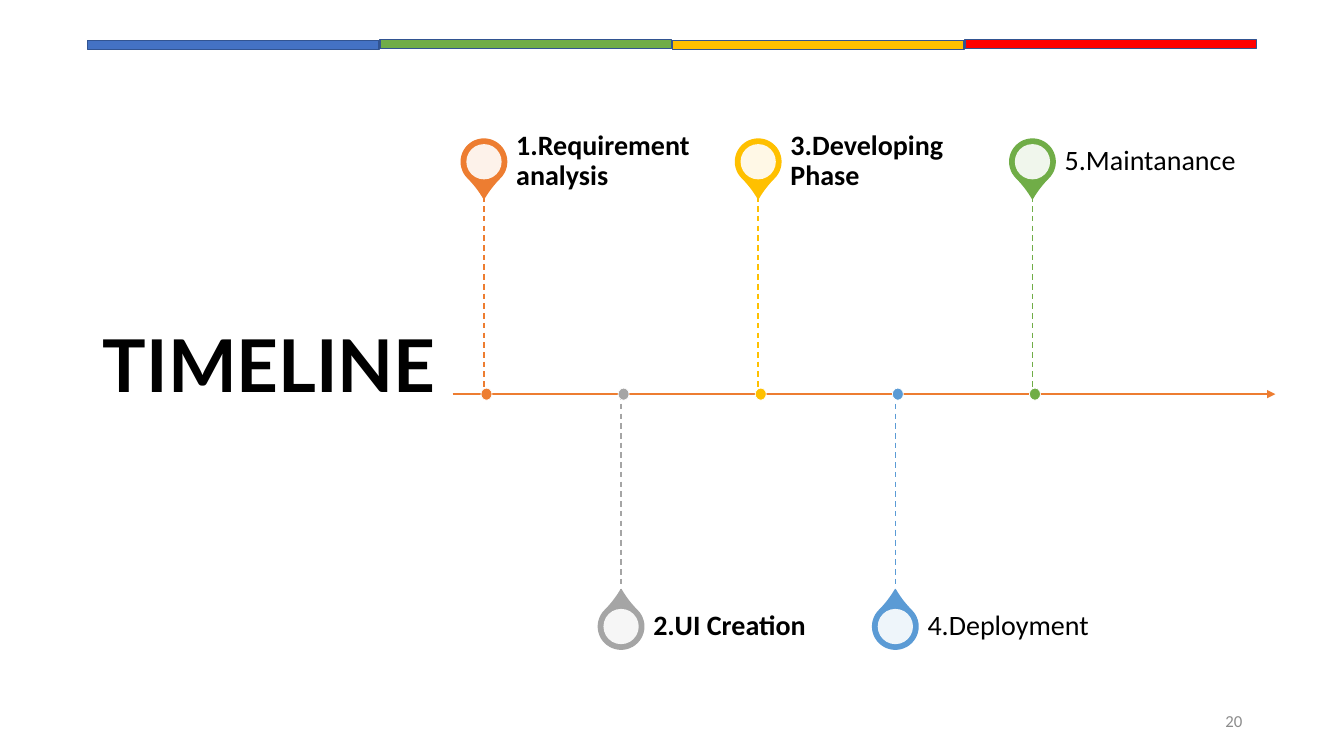
import pptx
import pptx.util
import pptx.dml.color
import pptx.enum.dml
import pptx.enum.shapes
import pptx.enum.text
import pptx.oxml
import pptx.oxml.ns
from lxml import etree

SHAPE = pptx.enum.shapes.MSO_SHAPE
ANCHOR = pptx.enum.text.MSO_ANCHOR
ALIGN = pptx.enum.text.PP_ALIGN
DASH = pptx.enum.dml.MSO_LINE.DASH
INK = "000000"
STEPS = [
    ("1.Requirement analysis", "ED7D31", True),
    ("2.UI Creation", "A5A5A5", True),
    ("3.Developing Phase", "FFC000", True),
    ("4.Deployment", "5B9BD5", False),
    ("5.Maintanance", "70AD47", False),
]
BAR_COLOURS = ["4472C4", "70AD47", "FFC000", "FF0000"]


def inches(*lengths):
    """Convert lengths in inches to slide units."""
    return [pptx.util.Inches(length) for length in lengths]


def colour(hex_code):
    """Turn a hex string into a colour."""
    return pptx.dml.color.RGBColor.from_string(hex_code)


def assign(target, values):
    """Set each named attribute of the target."""
    for name, value in values.items():
        setattr(target, name, value)


def write(frame, words, size, font, ink, bold=False, align=ALIGN.LEFT, spacing=1.0, margins=None):
    """Write one formatted paragraph, vertically centred in a frame."""
    assign(frame, {"word_wrap": True, "vertical_anchor": ANCHOR.MIDDLE,
                   "auto_size": pptx.enum.text.MSO_AUTO_SIZE.NONE, **(margins or {})})
    paragraph = frame.paragraphs[0]
    assign(paragraph, {"alignment": align, "line_spacing": spacing})
    run = paragraph.add_run()
    run.text = words
    assign(run.font, {"size": pptx.util.Pt(size), "name": font, "bold": bold})
    run.font.color.rgb = colour(ink)


def add_figure(shapes, preset, box, fill, outline=None, weight=1):
    """Add a flat preset shape with an optional outline."""
    figure = shapes.add_shape(preset, *inches(*box))
    figure.shadow.inherit = False
    figure.fill.solid()
    figure.fill.fore_color.rgb = colour(fill)
    if outline:
        figure.line.color.rgb = colour(outline)
        figure.line.width = pptx.util.Pt(weight)
    else:
        figure.line.fill.background()
    return figure


def add_line(shapes, start, end, ink, weight, dash=None, arrow=False):
    """Add a straight line, dashed or arrow-headed on request."""
    line = shapes.add_connector(pptx.enum.shapes.MSO_CONNECTOR.STRAIGHT, *inches(*start, *end))
    line.line.color.rgb = colour(ink)
    assign(line.line, {"width": pptx.util.Pt(weight), "dash_style": dash})
    if arrow:
        etree.SubElement(line.line._get_or_add_ln(), pptx.oxml.ns.qn("a:tailEnd"), type="triangle")
    etree.SubElement(line._element.spPr, pptx.oxml.ns.qn("a:effectLst"))


def add_colour_bar(slide, left, top, width, height):
    """Draw the four-colour bar across the top."""
    segments = slide.shapes.add_group_shape().shapes
    column = width / len(BAR_COLOURS)
    for index, fill in enumerate(BAR_COLOURS):
        drop = 0.01 if index % 2 == 0 else 0
        add_figure(segments, SHAPE.RECTANGLE,
                   (left + index * column, top + drop, column - 0.01, height), fill, "325491")


def add_step(shapes, x, axis_y, marker_top, row, step, above):
    """Draw one step: pin, label, dashed stem and dot on the axis."""
    words, ink, bold = step
    middle = marker_top + row / 2
    pin_size, hole_size, dot_width, dot_height = 0.45, 0.35, 0.11, 0.12
    pin = add_figure(shapes, SHAPE.TEAR,
                     (x - pin_size / 2, middle - pin_size / 2, pin_size, pin_size), ink, ink)
    pin.adjustments[0] = 1.15
    pin.rotation = 135 if above else 315
    hole = add_figure(shapes, SHAPE.OVAL,
                      (x - hole_size / 2, middle - hole_size / 2, hole_size, hole_size), "FFFFFF")
    tint = hole._element.spPr.find(".//" + pptx.oxml.ns.qn("a:srgbClr"))
    etree.SubElement(tint, pptx.oxml.ns.qn("a:alpha"), val="90000")
    label = shapes.add_textbox(*inches(x + 0.32, marker_top, 2.1, row))
    write(label.text_frame, words, 20, "Calibri", INK, bold, spacing=0.9,
          margins={"margin_left": 0, "margin_top": 0, "margin_bottom": 0,
                   "margin_right": pptx.util.Inches(0.14)})
    stem = [(x, marker_top + row), (x, axis_y)] if above else [(x, axis_y), (x, marker_top)]
    add_line(shapes, *stem, ink, 1, DASH.DASH)
    add_figure(shapes, SHAPE.OVAL,
               (x - 0.03, axis_y - dot_height / 2, dot_width, dot_height), ink, "FFFFFF", 0.5)


def add_timeline(slide, left, top, width, height):
    """Draw the axis with its steps alternating above and below."""
    parts = slide.shapes.add_group_shape().shapes
    column, row = width / (len(STEPS) + 1), height * 0.13
    axis_y = top + height / 2
    add_line(parts, (left, axis_y), (left + width, axis_y), STEPS[0][1], 1.5, arrow=True)
    for index, step in enumerate(STEPS):
        above = index % 2 == 0
        marker_top = top if above else top + height - row
        add_step(parts, left + 0.31 + index * column, axis_y, marker_top, row, step, above)


def add_title(slide, left, top, width, height):
    """Place the slide title beside the timeline."""
    title = slide.shapes.title
    assign(title, dict(zip(("left", "top", "width", "height"), inches(left, top, width, height))))
    write(title.text_frame, "TIMELINE", 52, "Lato", INK, True, spacing=0.9)


def add_page_number(slide, left, top, width, height):
    """Write the page number at the lower right."""
    number = slide.shapes.add_textbox(*inches(left, top, width, height))
    write(number.text_frame, "20", 12, "Calibri", "8C8C8C", align=ALIGN.RIGHT)


def main():
    """Build and save the timeline slide."""
    deck = pptx.Presentation()
    assign(deck, dict(zip(("slide_width", "slide_height"), inches(13.33, 7.5))))
    slide = deck.slides.add_slide(deck.slide_layouts[5])
    add_title(slide, 0.92, 0.61, 3.69, 6.09)
    add_page_number(slide, 9.42, 6.95, 3, 0.4)
    add_timeline(slide, 4.49, 1.26, 8.16, 5.3)
    add_colour_bar(slide, 0.87, 0.39, 11.6, 0.09)
    deck.save("out.pptx")


if __name__ == "__main__":
    main()
